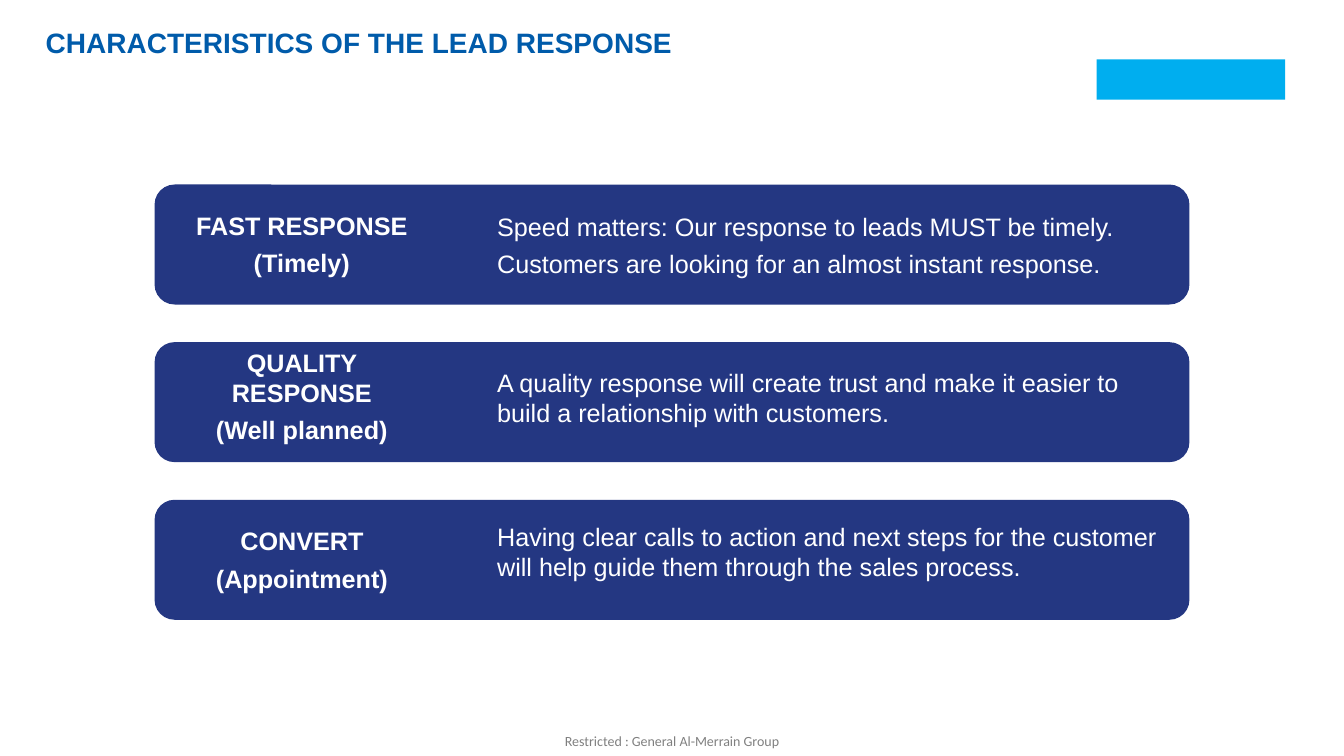
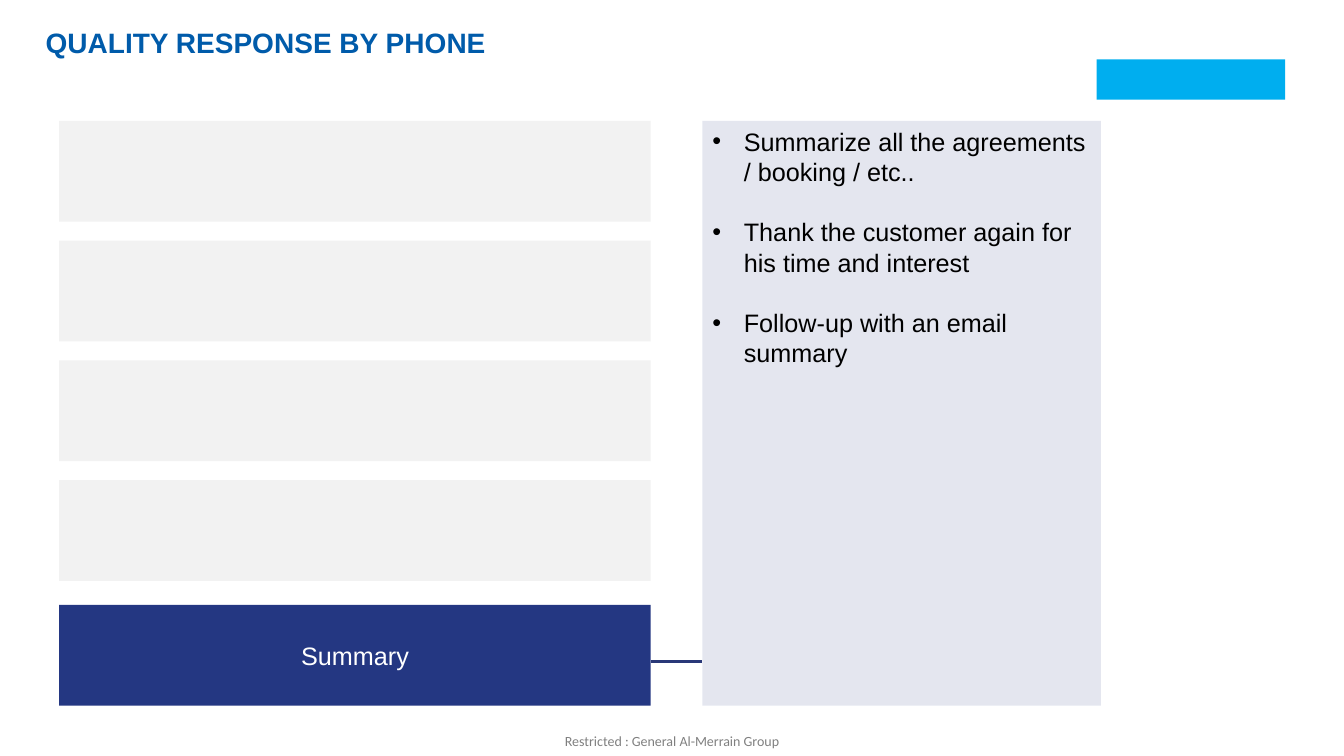
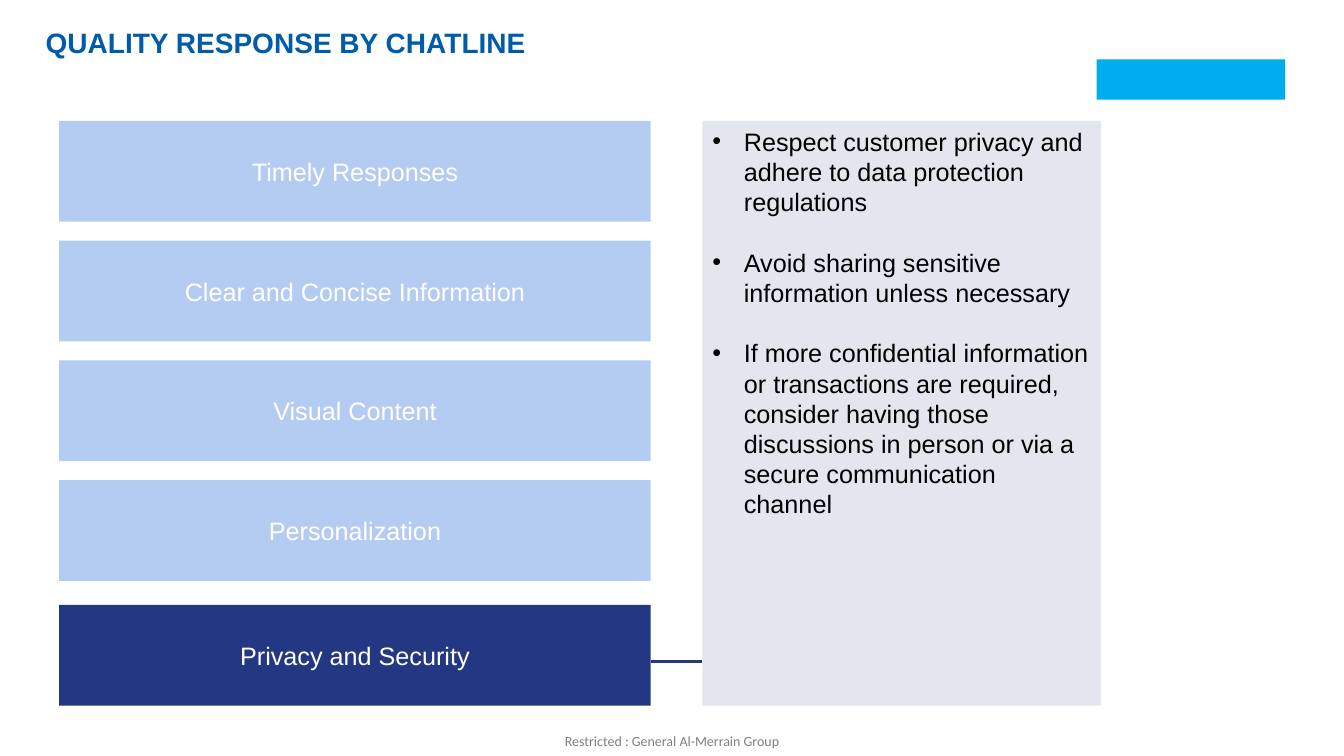
from pptx import Presentation
from pptx.dml.color import RGBColor
from pptx.enum.shapes import MSO_CONNECTOR, MSO_SHAPE
from pptx.enum.text import MSO_ANCHOR, MSO_AUTO_SIZE, PP_ALIGN
from pptx.oxml.ns import qn
from pptx.util import Pt
from lxml import etree

RECT, ROUNDED = MSO_SHAPE.RECTANGLE, MSO_SHAPE.ROUNDED_RECTANGLE
STRAIGHT = MSO_CONNECTOR.STRAIGHT
TOP, MIDDLE = MSO_ANCHOR.TOP, MSO_ANCHOR.MIDDLE
LEFT, CENTER = PP_ALIGN.LEFT, PP_ALIGN.CENTER
FIXED = MSO_AUTO_SIZE.NONE

NAVY = RGBColor(0x24, 0x37, 0x82)
LINE_NAVY = RGBColor(0x29, 0x38, 0x78)
TITLE_BLUE = RGBColor(0x00, 0x5B, 0xAA)
CYAN = RGBColor(0x00, 0xAE, 0xEF)
PALE_GREY = RGBColor(0xF2, 0xF2, 0xF2)
PALE_BLUE = RGBColor(0xB5, 0xCC, 0xF2)
WHITE = RGBColor(0xFF, 0xFF, 0xFF)
BLACK = RGBColor(0x00, 0x00, 0x00)

FOOTER = "Restricted : General Al-Merrain Group"


def fade(element, percent):
    """Make the first solid colour inside the element translucent."""
    color = element.find(".//" + qn("a:srgbClr"))
    etree.SubElement(color, qn("a:alpha"), val=str(percent * 1000))


def add_box(s, kind, x, y, w, h, fill):
    sp = s.shapes.add_shape(kind, Pt(x), Pt(y), Pt(w), Pt(h))
    sp.shadow.inherit = False
    sp.fill.solid()
    sp.fill.fore_color.rgb = fill
    sp.line.fill.background()
    return sp


def set_frame(tf, anchor, inset_x, inset_y):
    tf.word_wrap = True
    tf.auto_size = FIXED
    tf.vertical_anchor = anchor
    tf.margin_left = tf.margin_right = Pt(inset_x)
    tf.margin_top = tf.margin_bottom = Pt(inset_y)


def add_run(p, text, size, color, bold=False, font="Arial"):
    r = p.add_run()
    r.text = text
    r.font.name = font
    r.font.size = Pt(size)
    r.font.bold = bold
    r.font.color.rgb = color
    return r


def add_lines(tf, lines, color, align=LEFT, gap=0, bold=False, bullets=False):
    for i, line in enumerate(lines):
        p = tf.add_paragraph() if i else tf.paragraphs[0]
        if bullets:
            add_bullet(p)
        p.alignment = align
        p.space_before = Pt(gap if i else 0)
        add_run(p, line, 18, color, bold)


def add_bullet(p):
    pPr = p._p.get_or_add_pPr()
    pPr.set("marL", str(Pt(22.5)))
    pPr.set("indent", str(Pt(-22.5)))
    color = etree.SubElement(pPr, qn("a:buClr"))
    etree.SubElement(color, qn("a:srgbClr"), val=str(BLACK))
    etree.SubElement(pPr, qn("a:buFont"), typeface="Arial")
    etree.SubElement(pPr, qn("a:buChar"), char="•")


def add_base_slide(prs, title):
    """Title, brand block and footer, as on every slide."""
    s = prs.slides.add_slide(prs.slide_layouts[5])
    sp = s.shapes.title
    sp.left, sp.top, sp.width, sp.height = Pt(25.4), Pt(15.1), Pt(908.6), Pt(30.2)
    set_frame(sp.text_frame, MIDDLE, 7.2, 3.6)
    p = sp.text_frame.paragraphs[0]
    p.alignment = LEFT
    add_run(p, title, 20, TITLE_BLUE, bold=True)

    add_box(s, RECT, 783.4, 42.5, 134.6, 28.8, CYAN)

    tf = s.shapes.add_textbox(Pt(403.5), Pt(523.2), Pt(155.5), Pt(12.2)).text_frame
    set_frame(tf, TOP, 0, 0)
    r = add_run(tf.paragraphs[0], FOOTER, 10, BLACK, font="Calibri")
    fade(r._r, 50)
    return s


def add_card(s, x, y, w, h, label, label_box, body, body_top):
    """Rounded card with a bold label on the left and text on the right."""
    add_box(s, ROUNDED, x, y, w, h, NAVY)
    columns = [(label_box, label, CENTER, True),
               ((239.7, body_top, 485.3, 60.5), body, LEFT, False)]
    for (dx, dy, width, height), lines, align, bold in columns:
        sp = add_box(s, RECT, x + dx, y + dy, width, height, NAVY)
        set_frame(sp.text_frame, MIDDLE, 5, 2.9)
        add_lines(sp.text_frame, lines, WHITE, align, gap=5, bold=bold)


def add_steps(s, x, y, w, h, steps, pale):
    """Stack of bars, the last one highlighted at the bottom of the box."""
    bar_h, pitch = 72, 85.5
    last = len(steps) - 1
    for i, step in enumerate(steps):
        top = y + h - bar_h if i == last else y + i * pitch
        sp = add_box(s, RECT, x, top, w, bar_h, NAVY if i == last else pale)
        if step:
            set_frame(sp.text_frame, MIDDLE, 0, 0)
            add_lines(sp.text_frame, [step], WHITE, CENTER)


def add_panel(s, x, y, w, h, points):
    """Tinted panel with bullet points."""
    sp = add_box(s, RECT, x, y, w, h, NAVY)
    fade(sp._element.spPr, 12)
    set_frame(sp.text_frame, TOP, 7.2, 3.6)
    add_lines(sp.text_frame, points, BLACK, gap=21.6, bullets=True)


def add_link(s, x1, x2, y):
    cn = s.shapes.add_connector(STRAIGHT, Pt(x1), Pt(y), Pt(x2), Pt(y))
    cn.line.color.rgb = LINE_NAVY
    cn.line.width = Pt(2.25)
    etree.SubElement(cn._element.spPr, qn("a:effectLst"))


def add_cards_slide(prs, title, cards):
    s = add_base_slide(prs, title)
    for i, card in enumerate(cards):
        add_card(s, 110.4, 131.8 + i * 112.6, 739.2, 85.7, *card)


def add_steps_slide(prs, title, steps, pale, points):
    s = add_base_slide(prs, title)
    x, y, w, h, panel_x = 42.3, 86.4, 422.6, 417.7, 501.8
    add_steps(s, x, y, w, h, steps, pale)
    add_panel(s, panel_x, y, 284.6, h, points)
    add_link(s, x + w, panel_x, 472.3)


def main():
    prs = Presentation()
    prs.slide_width, prs.slide_height = Pt(960), Pt(540)

    add_cards_slide(prs, "CHARACTERISTICS OF THE LEAD RESPONSE", [
        (["FAST RESPONSE", "(Timely)"], (6.2, 7.2, 198, 70.6),
         ["Speed matters: Our response to leads MUST be timely.",
          "Customers are looking for an almost instant response."], 12.8),
        (["QUALITY RESPONSE", "(Well planned)"], (30.7, 8.2, 149, 60.5),
         ["A quality response will create trust and make it easier to "
          "build a relationship with customers."], 9),
        (["CONVERT", "(Appointment)"], (7, 12.4, 196.6, 60.5),
         ["Having clear calls to action and next steps for the customer "
          "will help guide them through the sales process."], 6.5),
    ])

    # The pale steps of this slide carry no label
    add_steps_slide(
        prs, "QUALITY RESPONSE BY PHONE",
        [""] * 4 + ["Summary"], PALE_GREY,
        ["Summarize all the agreements / booking / etc..",
         "Thank the customer again for his time and interest",
         "Follow-up with an email summary"])

    add_steps_slide(
        prs, "QUALITY RESPONSE BY CHATLINE",
        ["Timely Responses", "Clear and Concise Information", "Visual Content",
         "Personalization", "Privacy and Security"], PALE_BLUE,
        ["Respect customer privacy and adhere to data protection regulations",
         "Avoid sharing sensitive information unless necessary",
         "If more confidential information or transactions are required, "
         "consider having those discussions in person or via a secure "
         "communication channel"])

    prs.save("out.pptx")


if __name__ == "__main__":
    main()
